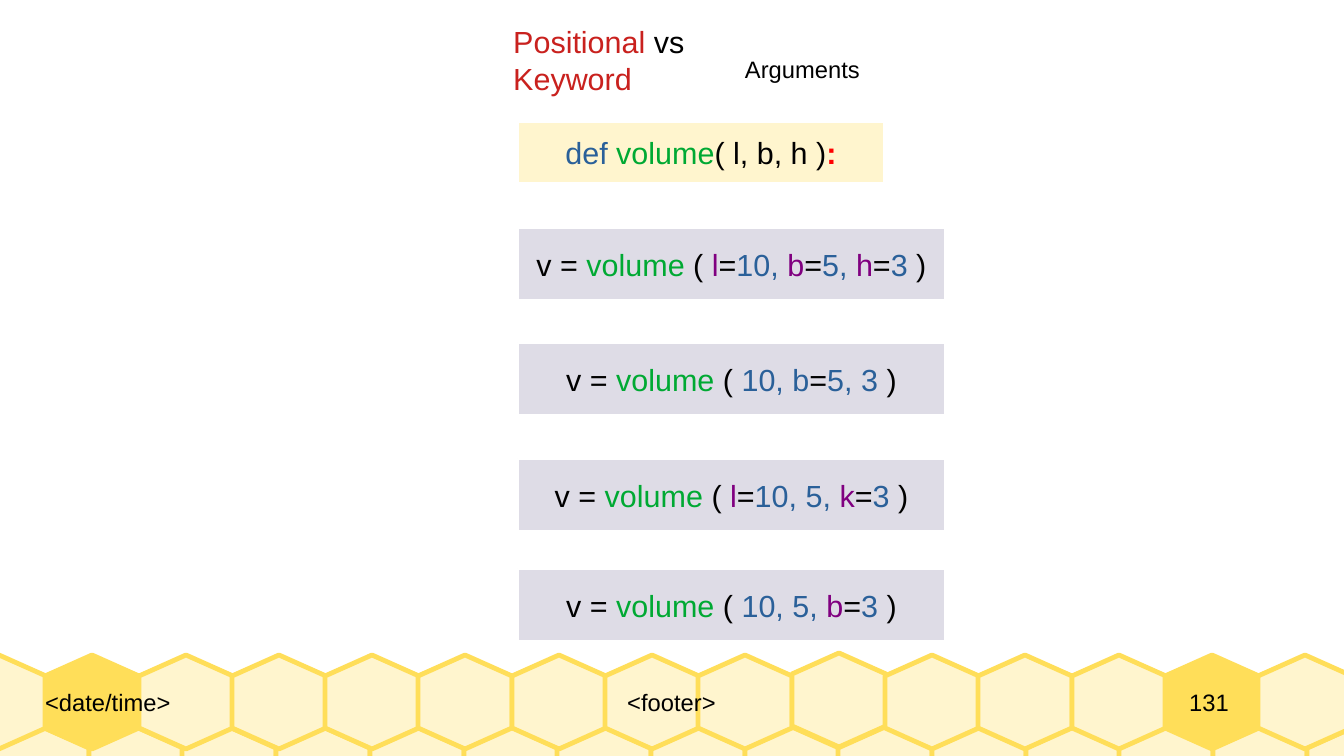
from pptx import Presentation
from pptx.dml.color import RGBColor
from pptx.enum.shapes import MSO_SHAPE
from pptx.enum.text import MSO_ANCHOR, MSO_AUTO_SIZE, PP_ALIGN
from pptx.util import Pt

PX = 7495  # EMU per px, 122 px to the inch
LEFT, CENTER = PP_ALIGN.LEFT, PP_ALIGN.CENTER
TOP, MIDDLE = MSO_ANCHOR.TOP, MSO_ANCHOR.MIDDLE
RECTANGLE = MSO_SHAPE.RECTANGLE

BLACK = RGBColor(0x00, 0x00, 0x00)
WHITE = RGBColor(0xFF, 0xFF, 0xFF)
CRIMSON = RGBColor(0xC9, 0x21, 0x1E)
RED = RGBColor(0xFF, 0x00, 0x00)
BLUE = RGBColor(0x2A, 0x60, 0x99)
GREEN = RGBColor(0x00, 0xA9, 0x33)
PURPLE = RGBColor(0x80, 0x00, 0x80)
CREAM = RGBColor(0xFF, 0xF5, 0xCE)
HONEY = RGBColor(0xFF, 0xDE, 0x59)
LAVENDER = RGBColor(0xDE, 0xDC, 0xE6)


def write(shape, runs, size, align=LEFT, anchor=TOP, **frame_format):
    frame = shape.text_frame
    settings = {"word_wrap": False, "auto_size": MSO_AUTO_SIZE.NONE,
                "vertical_anchor": anchor, **frame_format}
    for name, value in settings.items():
        setattr(frame, name, value)
    paragraph = frame.paragraphs[0]
    paragraph.alignment = align
    for text, color in runs:
        run = paragraph.add_run()
        run.text = text
        run.font.name = "Arial"
        run.font.size = Pt(size)
        run.font.bold = color == RED
        run.font.color.rgb = color


def paint(shape, fill, line, width):
    shape.shadow.inherit = False
    shape.fill.solid()
    shape.fill.fore_color.rgb = fill
    shape.line.color.rgb = line
    shape.line.width = Pt(width)


prs = Presentation()
prs.slide_width, prs.slide_height = 1344 * PX, 756 * PX
slide = prs.slides.add_slide(prs.slide_layouts[5])
shapes = slide.shapes

# Honeycomb: lower row, then upper row with two filled cells
honeycomb_rows = [(-5, 727, 93.7, ()), (-48, 655, 93.3, (1, 13))]
for row_left, row_top, pitch, filled in honeycomb_rows:
    for column in range(15):
        x = round(row_left + column * pitch)
        # One upper cell sits slightly higher than its neighbours
        y = row_top - 2 if filled and column == 9 else row_top
        outline = shapes.build_freeform(x + 47, y, scale=PX)
        outline.add_line_segments([
            (x, y + 21), (x, y + 73), (x + 47, y + 94),
            (x + 94, y + 73), (x + 94, y + 21)])
        cell = outline.convert_to_shape()
        paint(cell, HONEY if column in filled else CREAM, HONEY, 2.83)

# Footer line
footer_fields = [
    ("<date/time>", 45, 321, LEFT),
    ("<footer>", 366, 611, CENTER),
    ("131", 1133, 152, CENTER),
]
for text, left, width, align in footer_fields:
    field = shapes.add_textbox(left * PX, 655 * PX, width * PX, 94 * PX)
    write(field, [(text, BLACK)], 14, align, MIDDLE, word_wrap=True,
          margin_left=0, margin_right=0, margin_top=0, margin_bottom=0)

# Title and its second line
title = shapes.title
title.left, title.top, title.width, title.height = (
    501 * PX, 17 * PX, 322 * PX, 46 * PX)
write(title, [("Positional", CRIMSON), (" vs ", BLACK),
              ("Keyword", CRIMSON)], 18)
subtitle = shapes.add_textbox(733 * PX, 49 * PX, 139 * PX, 39 * PX)
write(subtitle, [("Arguments", BLACK)], 14)

# Function definition and four calls
call_start = [("v = ", BLACK), ("volume", GREEN), (" ( ", BLACK)]
call_end = [(" )", BLACK)]
equals = ("=", BLACK)
definition = [("def ", BLUE), ("volume", GREEN),
              ("( l, b, h )", BLACK), (":", RED)]
call_arguments = [
    (228, [("l", PURPLE), equals, ("10, ", BLUE), ("b", PURPLE), equals,
           ("5, ", BLUE), ("h", PURPLE), equals, ("3", BLUE)]),
    (343, [("10, b", BLUE), equals, ("5, 3", BLUE)]),
    (459, [("l", PURPLE), equals, ("10, 5, ", BLUE),
           ("k", PURPLE), equals, ("3", BLUE)]),
    (569, [("10, 5, ", BLUE), ("b", PURPLE), equals, ("3", BLUE)]),
]
code_blocks = [(122, 366, 61, CREAM, definition)]
for top, arguments in call_arguments:
    code_blocks.append(
        (top, 427, 72, LAVENDER, call_start + arguments + call_end))
for top, width, height, fill, code in code_blocks:
    block = shapes.add_shape(RECTANGLE, 518 * PX, top * PX,
                             width * PX, height * PX)
    paint(block, fill, WHITE, 1.42)
    write(block, code, 18, CENTER, MIDDLE)

prs.save("out.pptx")
